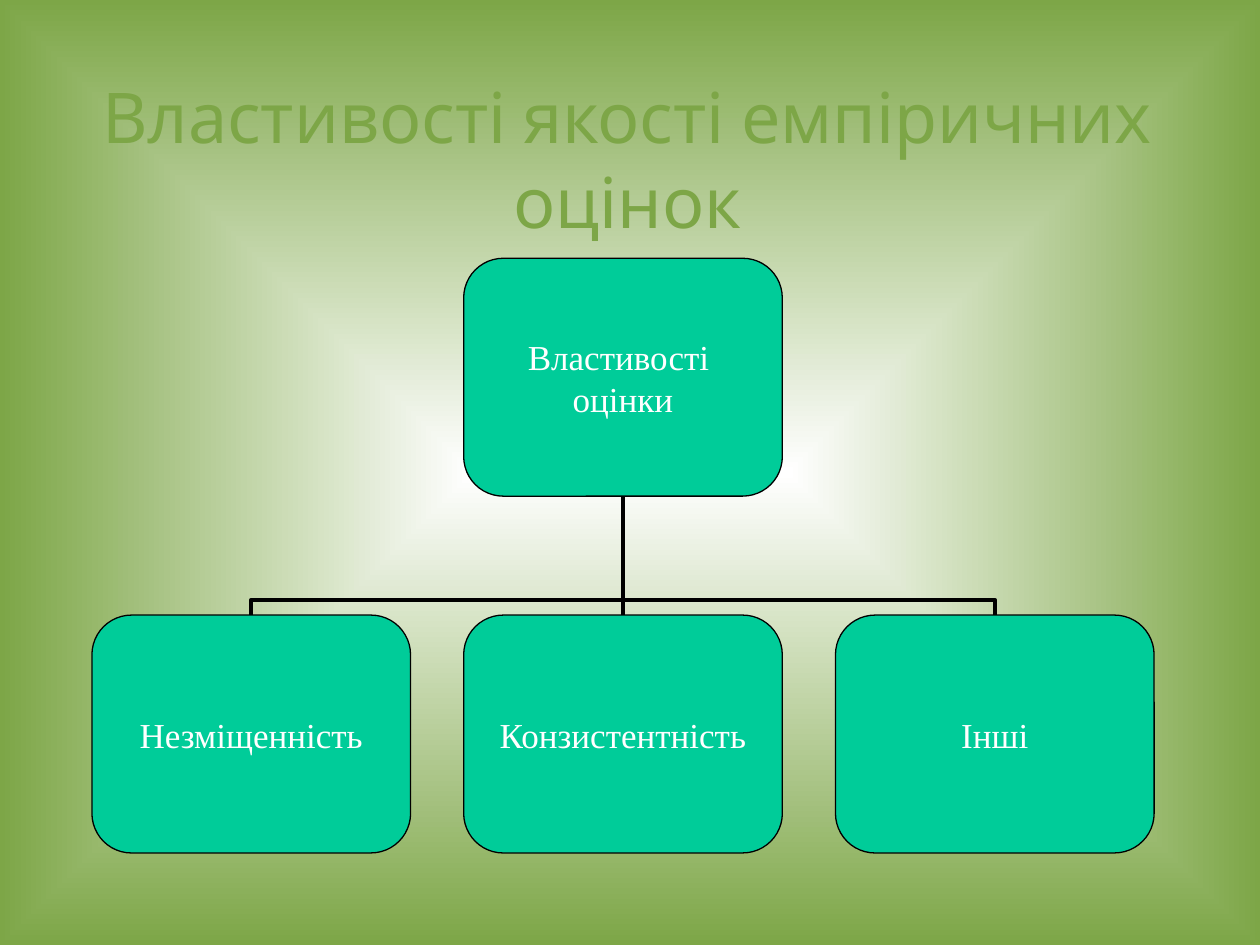
from dataclasses import dataclass

from lxml.etree import SubElement
from pptx import Presentation
from pptx.dml.color import RGBColor
from pptx.enum.shapes import MSO_CONNECTOR, MSO_SHAPE
from pptx.enum.text import MSO_ANCHOR, PP_ALIGN
from pptx.oxml.ns import qn
from pptx.util import Inches, Pt


@dataclass(frozen=True)
class Theme:
    green: RGBColor = RGBColor(0x7D, 0xA6, 0x47)
    card: RGBColor = RGBColor(0x00, 0xCC, 0x99)
    white: RGBColor = RGBColor(0xFF, 0xFF, 0xFF)
    black: RGBColor = RGBColor(0x00, 0x00, 0x00)
    title_font: str = "Karla"
    card_font: str = "Times New Roman"
    title_size: int = 40
    card_size: int = 20
    outline: float = 0.75
    branch: float = 2.25


@dataclass(frozen=True)
class Box:
    left: float
    top: float
    width: float
    height: float

    @property
    def center(self):
        return self.left + self.width / 2

    @property
    def bottom(self):
        return self.top + self.height

    def inches(self):
        return [Inches(v) for v in (self.left, self.top, self.width, self.height)]


THEME = Theme()
TITLE_BOX = Box(0.73, 0.51, 8.5, 1.48)
TREE_BOX = Box(0.73, 2.05, 8.43, 4.72)
# The tree grid: cards are 6 columns by 2 rows, gaps 1 column and 1 row
COLUMNS, ROWS = 20, 5
CARD_COLUMNS, CARD_ROWS = 6, 2
ELBOW_BEND = 0.13

TITLE = "Властивості якості емпіричних оцінок"
ROOT = ["Властивості ", "оцінки"]
CHILDREN = ["Незміщенність", "Конзистентність", "Інші"]


def apply_format(target, values):
    for name, value in values.items():
        setattr(target, name, value)


def write_text(frame, lines, font, size, color, wrap, spacing=None):
    apply_format(frame, dict(
        word_wrap=wrap, vertical_anchor=MSO_ANCHOR.MIDDLE,
        margin_left=0, margin_top=0, margin_right=0, margin_bottom=0))
    for index, line in enumerate(lines):
        para = frame.paragraphs[0] if index == 0 else frame.add_paragraph()
        apply_format(para, dict(alignment=PP_ALIGN.CENTER, line_spacing=spacing))
        span = para.add_run()
        span.text = line
        apply_format(span.font, dict(name=font, size=Pt(size), bold=False))
        span.font.color.rgb = color


def paint_background(page):
    fill = page.background.fill
    fill.gradient()
    for stop, position, color in zip(
            fill.gradient_stops, (0, 1), (THEME.white, THEME.green)):
        stop.position = position
        stop.color.rgb = color
    # Turn the linear gradient into a rectangular one around the centre
    gradient = page.background._cSld.find(".//" + qn("a:gradFill"))
    gradient.remove(gradient.find(qn("a:lin")))
    rectangle = SubElement(gradient, qn("a:path"), {"path": "rect"})
    SubElement(rectangle, qn("a:fillToRect"),
               {side: "50000" for side in "ltrb"})


def place_title(page, box):
    title = page.shapes.title
    apply_format(title, dict(zip(("left", "top", "width", "height"), box.inches())))
    write_text(title.text_frame, [TITLE], THEME.title_font, THEME.title_size,
               THEME.green, wrap=True, spacing=1.01)


def add_card(page, box, lines):
    card = page.shapes.add_shape(MSO_SHAPE.ROUNDED_RECTANGLE, *box.inches())
    card.shadow.inherit = False
    card.fill.solid()
    card.fill.fore_color.rgb = THEME.card
    card.line.color.rgb = THEME.black
    card.line.width = Pt(THEME.outline)
    write_text(card.text_frame, lines, THEME.card_font, THEME.card_size,
               THEME.white, wrap=False)


def add_branch(page, child, parent):
    """Join the top of a child to the bottom of its parent."""
    start, end = (child.center, child.top), (parent.center, parent.bottom)
    span, rise = end[0] - start[0], start[1] - end[1]
    straight = abs(span) < 0.01
    kind = MSO_CONNECTOR.STRAIGHT if straight else MSO_CONNECTOR.ELBOW
    if not straight:
        # An elbow leaves sideways, so lay it down and turn it upright
        middle_x, middle_y = (start[0] + end[0]) / 2, (start[1] + end[1]) / 2
        side = rise / 2 if span > 0 else -rise / 2
        start = (middle_x + side, middle_y + abs(span) / 2)
        end = (middle_x - side, middle_y - abs(span) / 2)
    branch = page.shapes.add_connector(kind, *map(Inches, start + end))
    branch.line.color.rgb = THEME.black
    branch.line.width = Pt(THEME.branch)
    properties = branch._element.spPr
    SubElement(properties, qn("a:effectLst"))
    if not straight:
        turn = 90 if span > 0 else 270
        properties.find(qn("a:xfrm")).set("rot", str(turn * 60000))
        guides = properties.find(qn("a:prstGeom")).get_or_add_avLst()
        SubElement(guides, qn("a:gd"), {
            "name": "adj1", "fmla": f"val {round(ELBOW_BEND * 100000)}"})


def place_tree(page, box):
    column, row = box.width / COLUMNS, box.height / ROWS

    def card_box(across, down):
        return Box(box.left + across * (CARD_COLUMNS + 1) * column,
                   box.top + down * (CARD_ROWS + 1) * row,
                   CARD_COLUMNS * column, CARD_ROWS * row)

    root = card_box(1, 0)
    leaves = [card_box(index, 1) for index in range(len(CHILDREN))]
    # Branches lie behind the cards
    for leaf in leaves:
        add_branch(page, leaf, root)
    add_card(page, root, ROOT)
    for leaf, label in zip(leaves, CHILDREN):
        add_card(page, leaf, [label])


def main():
    deck = Presentation()
    apply_format(deck, dict(slide_width=Inches(10), slide_height=Inches(7.5)))
    page = deck.slides.add_slide(deck.slide_layouts[5])
    paint_background(page)
    place_title(page, TITLE_BOX)
    place_tree(page, TREE_BOX)
    deck.save("out.pptx")


if __name__ == "__main__":
    main()
